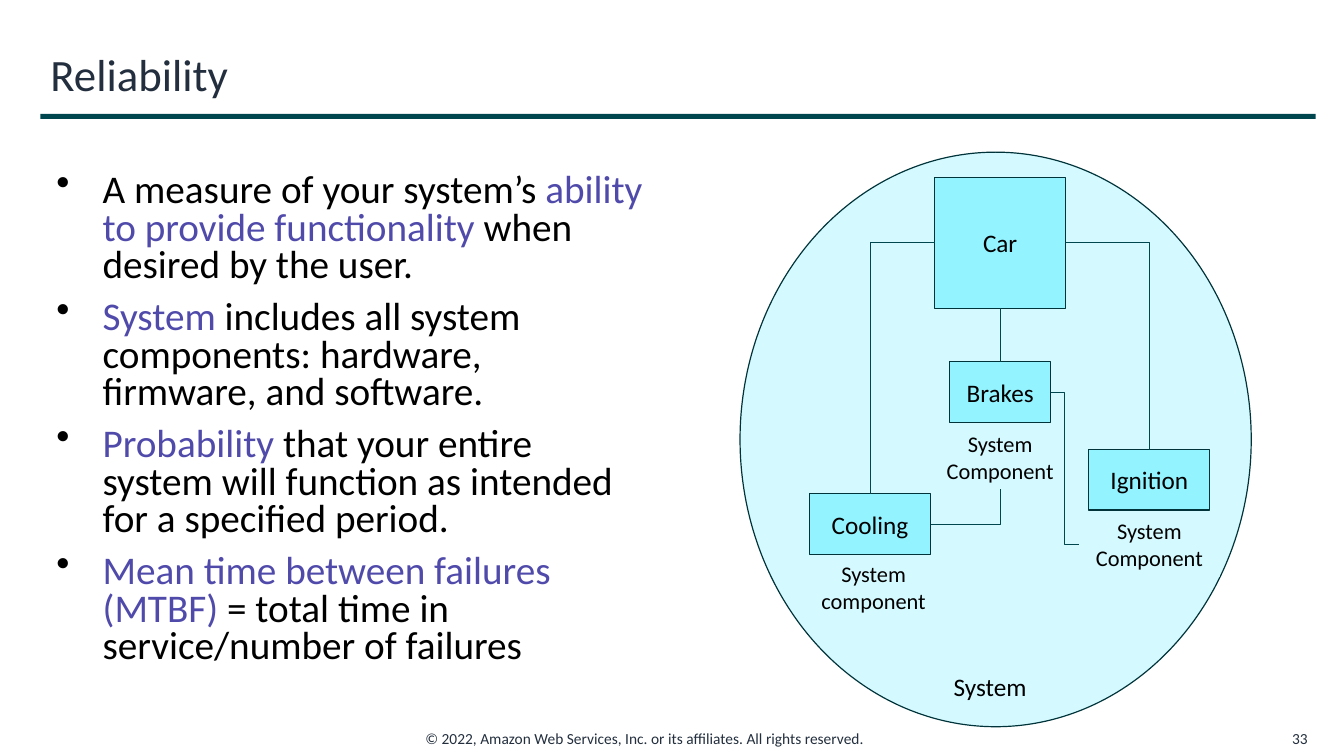
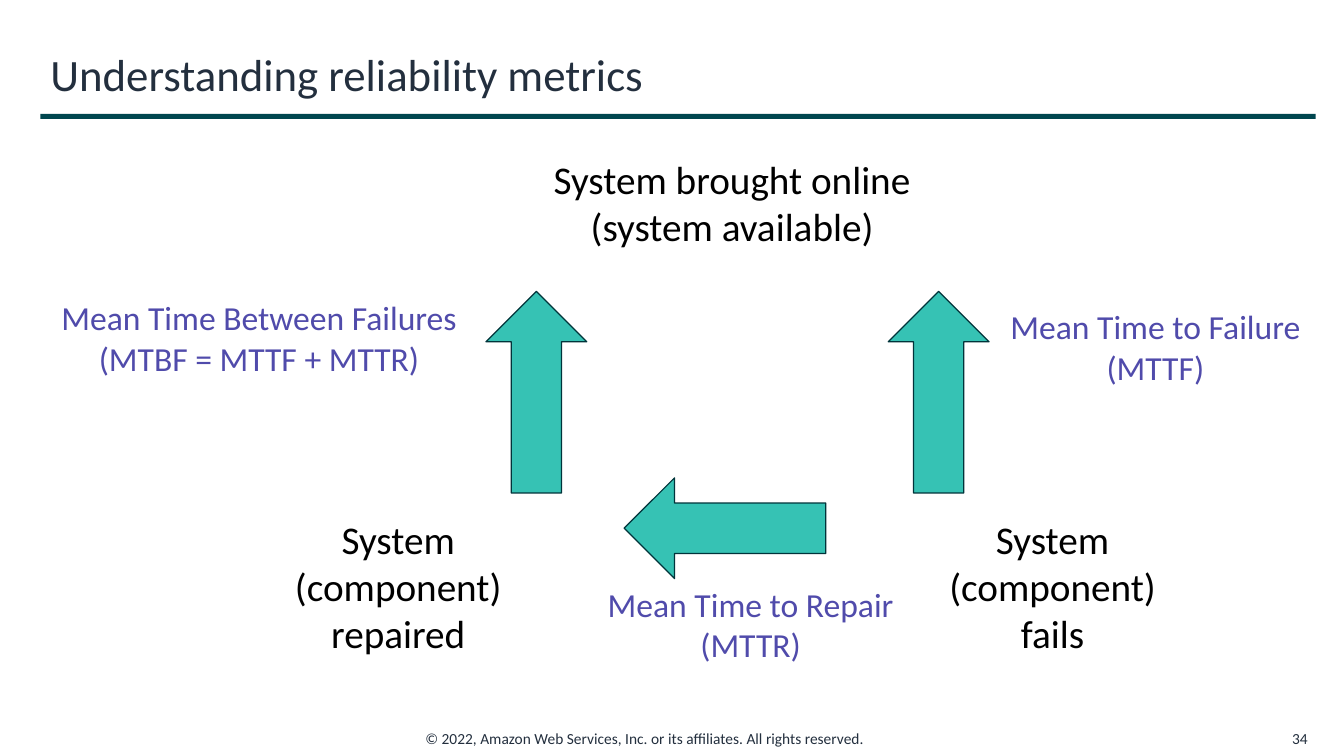
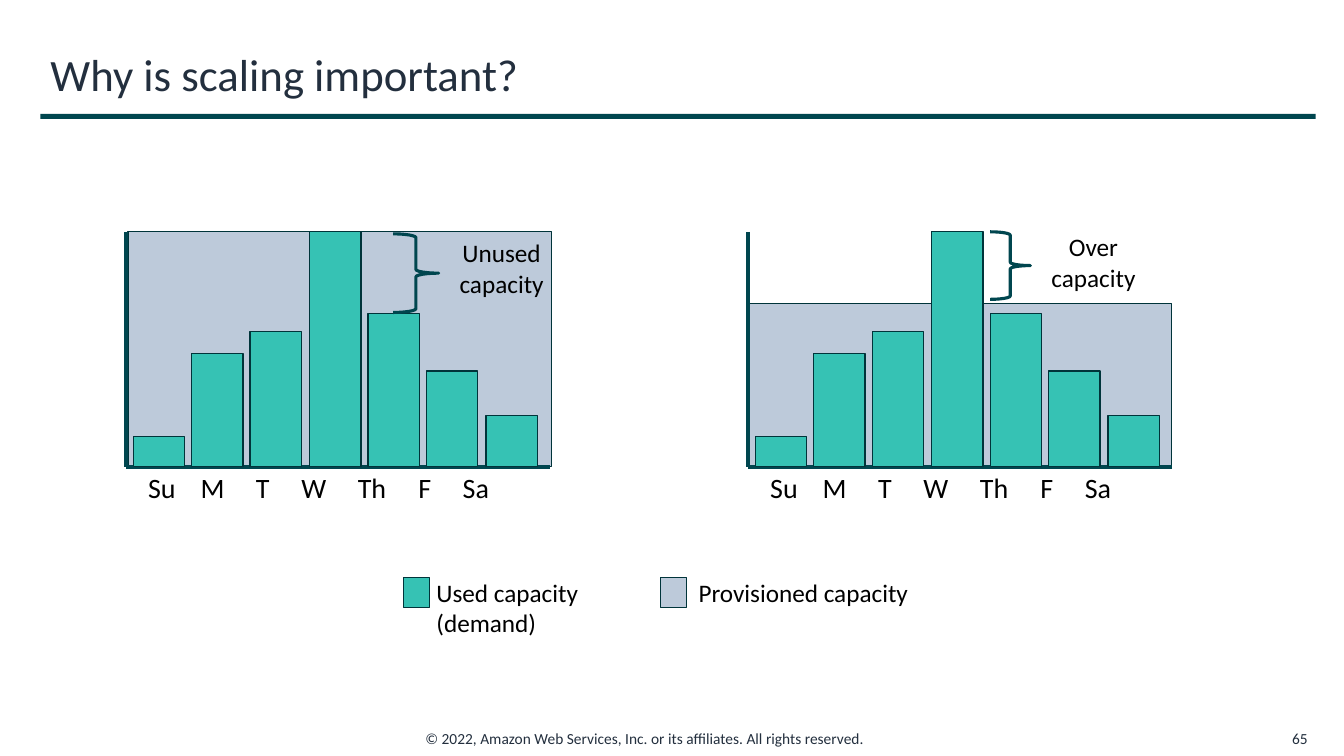
import lxml.etree
import pptx
import pptx.dml.color
import pptx.enum.shapes
import pptx.enum.text
import pptx.oxml.ns
import pptx.util

PX = 9144  # EMU per px, 100 px to the inch
COLORS = {
    "ink": "232F3E", "text": "000000", "accent": "504BAB", "rule": "00464F",
    "outline": "00343A", "system": "D4FAFF", "component": "93F3FF",
    "used": "36C2B4", "provisioned": "BDCADA",
}
FONT = "Calibri"
TITLE_AT = (40, 33, 1265, 80)
BAND_AT = (40, 113, 1265, 5)
FOOTER_AT = (412, 718, 509, 29)
NUMBER_AT = (1254, 718, 53, 29)
FOOTER = "© 2022, Amazon Web Services, Inc. or its affiliates. All rights reserved."

SHAPE = pptx.enum.shapes.MSO_SHAPE
CONNECTOR = pptx.enum.shapes.MSO_CONNECTOR
ALIGN = pptx.enum.text.PP_ALIGN
ANCHOR = pptx.enum.text.MSO_ANCHOR

RELIABILITY_POINTS = [
    [("A measure of your system’s ", "text"), ("ability to provide functionality ", "accent"),
     ("when desired by the user.", "text")],
    [("System", "accent"),
     (" includes all system components: hardware, firmware, and software.", "text")],
    [("Probability", "accent"),
     (" that your entire system will function as intended for a specified period.", "text")],
    [("Mean time between failures (MTBF) ", "accent"),
     ("= total time in service/number of failures", "text")],
]
DAYS = ["Su", "M", "T", "W", "Th", "F", "Sa"]
DAY_TABS = [52, 107, 152, 208, 268, 312]
DEMAND = [30, 112, 134, 233, 152, 95, 51]
PLOT_TOP, PLOT_BASE, PLOT_WIDTH = 230, 463, 420
BAR_WIDTH, BAR_SPAN = 51, 350


def emu(lengths):
    return [length * PX for length in lengths]


def rgb(name):
    return pptx.dml.color.RGBColor.from_string(COLORS[name])


def apply(target, values):
    """Set each attribute of target named in values."""
    for name, value in values.items():
        setattr(target, name, value)


def add_properties_child(paragraph, tag, **attributes):
    """Append an a: element to the paragraph's properties."""
    properties = paragraph._p.get_or_add_pPr()
    return lxml.etree.SubElement(properties, pptx.oxml.ns.qn(tag), attributes)


def format_runs(paragraph, size, color):
    for run in paragraph.runs:
        apply(run.font, {"name": FONT, "size": pptx.util.Pt(size), "bold": False})
        run.font.color.rgb = rgb(color)


def write(shape, text, size, color="text", align=ALIGN.CENTER, anchor=ANCHOR.TOP):
    """Fill a shape with one paragraph; a newline is a line break."""
    frame = shape.text_frame
    apply(frame, {"word_wrap": True, "vertical_anchor": anchor,
                  "auto_size": pptx.enum.text.MSO_AUTO_SIZE.NONE})
    paragraph = frame.paragraphs[0]
    apply(paragraph, {"text": text, "alignment": align})
    format_runs(paragraph, size, color)
    return paragraph


def add_text(slide, at, text, size, **options):
    return write(slide.shapes.add_textbox(*emu(at)), text, size, **options)


def add_shape(slide, kind, at, fill=None, line="outline", width=0.85):
    shape = slide.shapes.add_shape(kind, *emu(at))
    shape.shadow.inherit = False
    if fill:
        shape.fill.solid()
        shape.fill.fore_color.rgb = rgb(fill)
    else:
        shape.fill.background()
    if line:
        shape.line.color.rgb = rgb(line)
        shape.line.width = pptx.util.Pt(width)
    else:
        shape.line.fill.background()
    return shape


def add_connector(slide, start, end, kind=CONNECTOR.STRAIGHT, width=0.75):
    connector = slide.shapes.add_connector(kind, *emu(start + end))
    connector.line.color.rgb = rgb("rule")
    connector.line.width = pptx.util.Pt(width)
    lxml.etree.SubElement(connector._element.spPr, pptx.oxml.ns.qn("a:effectLst"))
    return connector


def add_corner(slide, start, end):
    """Connect with one bend, leaving the start horizontally."""
    connector = add_connector(slide, start, end, CONNECTOR.ELBOW)
    geometry = connector._element.spPr.find(pptx.oxml.ns.qn("a:prstGeom"))
    geometry.set("prst", "bentConnector2")


def add_titled_slide(presentation, title, number):
    """Add a slide with the shared title, band and footer."""
    slide = presentation.slides.add_slide(presentation.slide_layouts[5])
    add_shape(slide, SHAPE.RECTANGLE, BAND_AT, "rule", None)
    add_text(slide, FOOTER_AT, FOOTER, 11, color="ink", align=ALIGN.LEFT)
    add_text(slide, NUMBER_AT, str(number), 11, color="ink", align=ALIGN.RIGHT,
             anchor=ANCHOR.MIDDLE)
    placeholder = slide.shapes.title
    apply(placeholder, dict(zip(("left", "top", "width", "height"), emu(TITLE_AT))))
    write(placeholder, title, 32, "ink", ALIGN.LEFT, ANCHOR.MIDDLE)
    return slide


def add_bullets(slide, at, points, size):
    frame = slide.shapes.add_textbox(*emu(at)).text_frame
    frame.word_wrap = True
    for index, point in enumerate(points):
        paragraph = frame.add_paragraph() if index else frame.paragraphs[0]
        properties = paragraph._p.get_or_add_pPr()
        properties.set("marL", str(46 * PX))
        properties.set("indent", str(-46 * PX))
        bullet_color = add_properties_child(paragraph, "a:buClr")
        lxml.etree.SubElement(bullet_color, pptx.oxml.ns.qn("a:srgbClr"), val=COLORS["text"])
        add_properties_child(paragraph, "a:buChar", char="•")
        paragraph.line_spacing = 0.8
        if index:
            paragraph.space_before = pptx.util.Pt(10)
        for text, color in point:
            run = paragraph.add_run()
            run.text = text
            apply(run.font, {"name": FONT, "size": pptx.util.Pt(size)})
            run.font.color.rgb = rgb(color)


def add_component(slide, at, name):
    box = add_shape(slide, SHAPE.RECTANGLE, at, "component")
    write(box, name, 18, anchor=ANCHOR.MIDDLE)
    return box


def add_system_label(slide, at, text, size=16, align=ALIGN.CENTER):
    label = add_shape(slide, SHAPE.RECTANGLE, at, "system", None)
    write(label, text, size, align=align)


def build_reliability(presentation):
    slide = add_titled_slide(presentation, "Reliability", 33)
    add_bullets(slide, (46, 167, 602, 508), RELIABILITY_POINTS, 28)
    add_shape(slide, SHAPE.OVAL, (734, 151, 507, 570), "system")
    car = add_component(slide, (927, 176, 130, 130), "Car")
    add_component(slide, (803, 490, 120, 60), "Cooling")
    add_component(slide, (1080, 446, 120, 60), "Ignition")
    brakes = add_component(slide, (942, 359, 100, 60), "Brakes")
    add_system_label(slide, (798, 551, 137, 64), "System\ncomponent")
    add_system_label(slide, (1070, 508, 140, 64), "System\nComponent")
    add_system_label(slide, (922, 422, 140, 64), "System\nComponent")
    add_system_label(slide, (936, 661, 104, 40), "System", 18, ALIGN.LEFT)

    car_to_brakes = add_connector(slide, (992, 306), (992, 359))
    car_to_brakes.begin_connect(car, 2)
    car_to_brakes.end_connect(brakes, 0)
    for start, end in [((927, 241), (863, 490)), ((1057, 241), (1140, 446)),
                       ((923, 520), (992, 485))]:
        add_corner(slide, start, end)
    add_connector(slide, (1042, 389), (1070, 540), CONNECTOR.ELBOW)


def build_metrics(presentation):
    slide = add_titled_slide(presentation, "Understanding reliability metrics", 34)
    for at, state in [
        ((520, 149, 412, 104), "System brought online\n(system available)"),
        ((924, 506, 240, 151), "System\n(component)\nfails"),
        ((275, 506, 240, 151), "System\n(component)\nrepaired"),
    ]:
        add_text(slide, at, state, 28)
    for left, top, rotation in [(432, 339, 270), (831, 339, 270), (619, 474, 180)]:
        arrow = add_shape(slide, SHAPE.RIGHT_ARROW, (left, top, 200, 100), "used")
        arrow.rotation = rotation
    for at, metric in [
        ((981, 299, 330, 91), "Mean Time to Failure\n(MTTF)"),
        ((582, 574, 325, 91), "Mean Time to Repair\n(MTTR)"),
        ((32, 290, 450, 91), "Mean Time Between Failures\n(MTBF = MTTF + MTTR)"),
    ]:
        add_text(slide, at, metric, 24, color="accent")


def add_day_labels(slide, at):
    paragraph = slide.shapes.add_textbox(*emu(at)).text_frame.paragraphs[0]
    tabs = add_properties_child(paragraph, "a:tabLst")
    for position in DAY_TABS:
        lxml.etree.SubElement(tabs, pptx.oxml.ns.qn("a:tab"), pos=str(position * PX), algn="l")
    paragraph.text = "\t".join(DAYS)
    format_runs(paragraph, 20, "text")
    paragraph._parent.word_wrap = True


def add_capacity_plot(slide, left, area_left, area_top, note, note_at, brace_at):
    """Draw a week of demand over the provisioned capacity."""
    add_shape(slide, SHAPE.RECTANGLE,
              (area_left, area_top, PLOT_WIDTH, PLOT_BASE - area_top), "provisioned")
    origin = (left, PLOT_BASE)
    add_connector(slide, (left, PLOT_TOP), origin, width=3)
    add_connector(slide, origin, (left + PLOT_WIDTH, PLOT_BASE), width=3)
    add_day_labels(slide, (left + 12, PLOT_BASE - 1, 412, 44))
    for index, height in enumerate(DEMAND):
        bar_left = left + 7 + BAR_SPAN * index // (len(DEMAND) - 1)
        add_shape(slide, SHAPE.RECTANGLE,
                  (bar_left, PLOT_BASE - height, BAR_WIDTH, height), "used")
    add_text(slide, note_at, note, 18)
    add_shape(slide, SHAPE.RIGHT_BRACE, brace_at, line="rule", width=2.25)


def build_scaling(presentation):
    slide = add_titled_slide(presentation, "Why is scaling important?", 65)
    add_capacity_plot(slide, 125, 127, PLOT_TOP, "Unused\ncapacity",
                      (432, 231, 131, 71), (390, 232, 45, 78))
    add_capacity_plot(slide, 742, 742, 301, "Over\ncapacity",
                      (1019, 225, 131, 71), (982, 230, 40, 67))
    for left, fill, text_left, width, text in [
        (400, "used", 423, 172, "Used capacity\n(demand)"),
        (655, "provisioned", 683, 252, "Provisioned capacity"),
    ]:
        add_shape(slide, SHAPE.RECTANGLE, (left, 573, 26, 30), fill)
        add_text(slide, (text_left, 568, width, 71), text, 18, align=ALIGN.LEFT)


def main():
    presentation = pptx.Presentation()
    apply(presentation, {"slide_width": 1333 * PX, "slide_height": 750 * PX})
    build_reliability(presentation)
    build_metrics(presentation)
    build_scaling(presentation)
    presentation.save("out.pptx")


if __name__ == "__main__":
    main()
